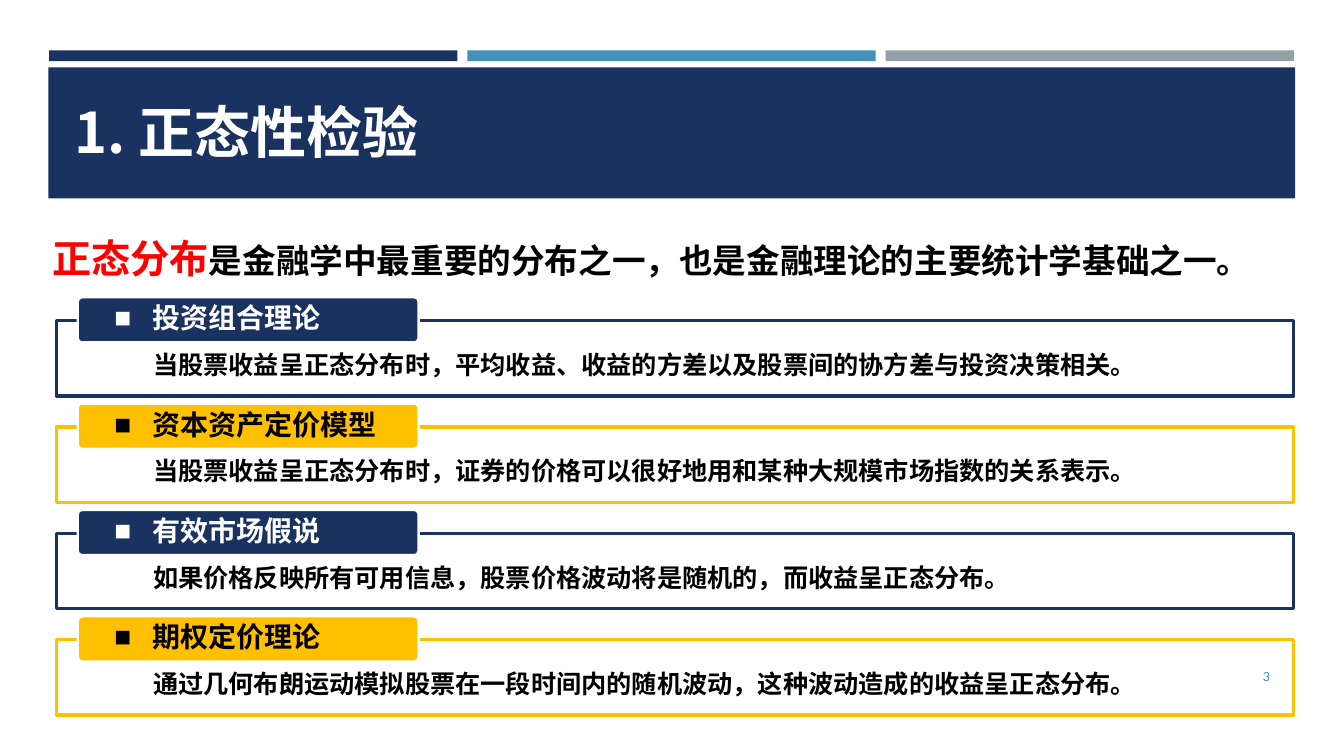
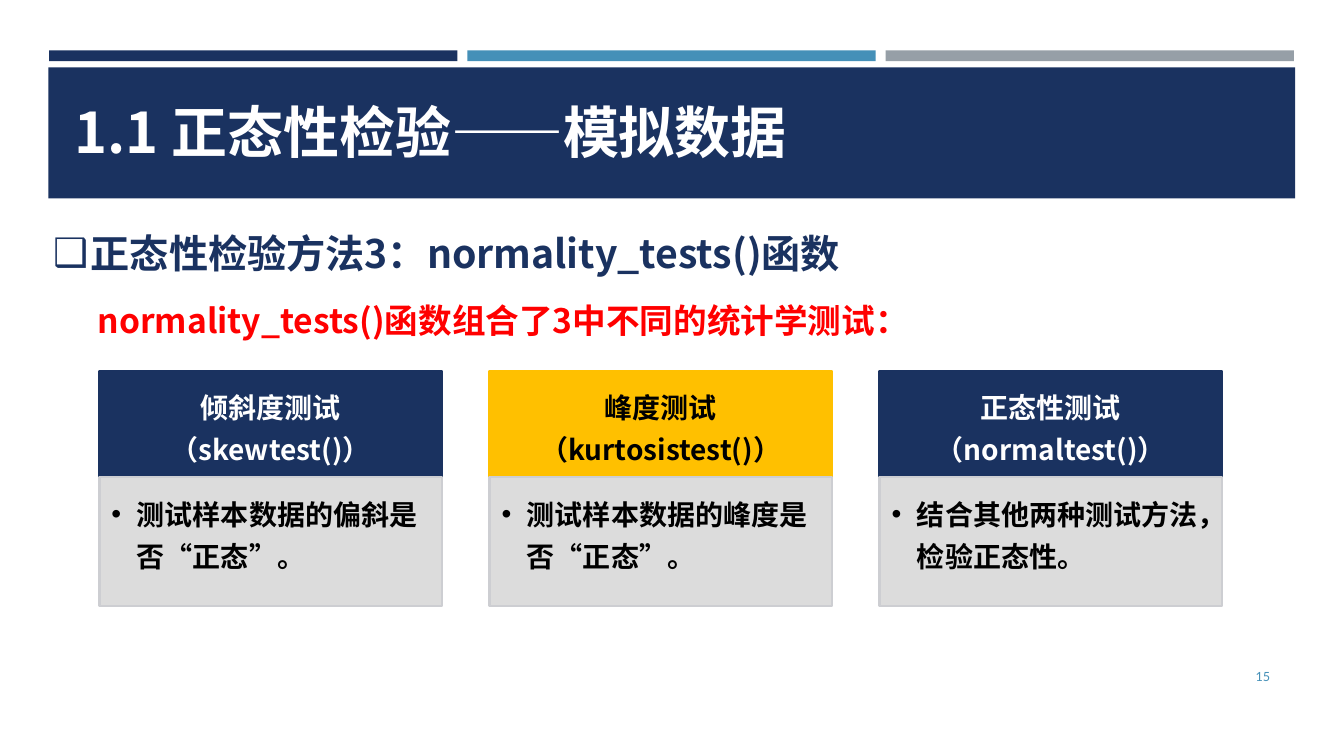
import lxml.etree
import pptx
import pptx.dml.color
import pptx.enum.shapes
import pptx.enum.text
import pptx.oxml.ns
import pptx.util

Cm = pptx.util.Cm
Pt = pptx.util.Pt
RGBColor = pptx.dml.color.RGBColor
SHAPE = pptx.enum.shapes.MSO_SHAPE
ALIGN = pptx.enum.text.PP_ALIGN
ANCHOR = pptx.enum.text.MSO_ANCHOR
qn = pptx.oxml.ns.qn

NAVY = RGBColor(0x1A, 0x32, 0x60)
BLUE = RGBColor(0x45, 0x90, 0xB8)
GRAY = RGBColor(0x96, 0x9F, 0xA7)
GOLD = RGBColor(0xFF, 0xC0, 0x00)
RED = RGBColor(0xFF, 0x00, 0x00)
BLACK = RGBColor(0x00, 0x00, 0x00)
WHITE = RGBColor(0xFF, 0xFF, 0xFF)
PALE = RGBColor(0xD9, 0xD9, 0xD9)
PALE_EDGE = RGBColor(0xCD, 0xCE, 0xD2)
CJK = "Noto Sans CJK SC"
LATO = "Lato"


def add_block(slide, kind, place, fill, line=None, line_width=1.75, opacity=100):
    block = slide.shapes.add_shape(kind, *map(Cm, place))
    block.shadow.inherit = False
    block.fill.solid()
    block.fill.fore_color.rgb = fill
    if opacity < 100:
        color = block.fill._xPr.find(qn("a:solidFill"))[0]
        lxml.etree.SubElement(color, qn("a:alpha"), val=str(opacity * 1000))
    if line is None:
        block.line.fill.background()
    else:
        block.line.color.rgb = line
        block.line.width = Pt(line_width)
    return block


def write(box, runs, spacing=1.0, align=ALIGN.LEFT, anchor=ANCHOR.TOP,
          insets=(0.25, 0.13, 0.25, 0.13), bullet=None, indent=0,
          font=CJK, bold=True, grow=False):
    frame = box.text_frame
    frame.word_wrap = True
    frame.vertical_anchor = anchor
    if grow:
        frame.auto_size = pptx.enum.text.MSO_AUTO_SIZE.SHAPE_TO_FIT_TEXT
    frame.margin_left, frame.margin_top, frame.margin_right, frame.margin_bottom = map(Cm, insets)
    paragraph = frame.paragraphs[0]
    paragraph.alignment = align
    paragraph.line_spacing = spacing
    if bullet:
        props = paragraph._p.get_or_add_pPr()
        props.set("marL", str(Cm(indent)))
        props.set("indent", str(-Cm(indent)))
        lxml.etree.SubElement(props, qn("a:buFont"), typeface="Arial")
        lxml.etree.SubElement(props, qn("a:buChar"), char=bullet)
    for text, size, color in runs:
        run = paragraph.add_run()
        run.text = text
        run.font.size = Pt(size)
        run.font.bold = bold
        run.font.color.rgb = color
        run.font.name = font
        lxml.etree.SubElement(run._r.get_or_add_rPr(), qn("a:ea"), typeface=font)


deck = pptx.Presentation()
deck.slide_width = Cm(33.87)
deck.slide_height = Cm(19.05)

for title in ("1. 正态性检验", "1.1 正态性检验——模拟数据"):
    slide = deck.slides.add_slide(deck.slide_layouts[6])
    for column, color in enumerate((NAVY, BLUE, GRAY)):
        add_block(slide, SHAPE.RECTANGLE, (1.24 + column * 10.54, 1.27, 10.29, 0.27), color)
    add_block(slide, SHAPE.RECTANGLE, (1.22, 1.7, 31.42, 3.3), NAVY)
    heading = slide.shapes.add_textbox(Cm(1.63), Cm(2.51), Cm(30.28), Cm(1.96))
    write(heading, [(title, 40, WHITE)], spacing=0.9, grow=True)

theories_slide, tests_slide = deck.slides

intro = theories_slide.shapes.add_textbox(Cm(1.07), Cm(5.18), Cm(31.37), Cm(1.83))
write(intro, [
    ("正态分布", 28, RED),
    ("是金融学中最重要的分布之一，也是金融理论的主要统计学基础之一。", 24, BLACK),
], spacing=1.5, align=ALIGN.JUSTIFY, grow=True)

theories = (
    ("投资组合理论", "当股票收益呈正态分布时，平均收益、收益的方差以及股票间的协方差与投资决策相关。"),
    ("资本资产定价模型", "当股票收益呈正态分布时，证券的价格可以很好地用和某种大规模市场指数的关系表示。"),
    ("有效市场假说", "如果价格反映所有可用信息，股票价格波动将是随机的，而收益呈正态分布。"),
    ("期权定价理论", "通过几何布朗运动模拟股票在一段时间内的随机波动，这种波动造成的收益呈正态分布。"),
)
schemes = ((NAVY, WHITE), (GOLD, BLACK))

for row, (theory, explanation) in enumerate(theories):
    accent, ink = schemes[row % 2]
    top = 8.08 + row * 2.68
    panel = add_block(theories_slide, SHAPE.RECTANGLE, (1.42, top, 31.19, 1.9),
                      WHITE, accent, 2.25, opacity=90)
    write(panel, [(explanation, 18, BLACK)], spacing=0.9, insets=(2.44, 0.81, 2.44, 0.28))
    tab = add_block(theories_slide, SHAPE.ROUNDED_RECTANGLE, (1.96, top - 0.59, 8.59, 1.14),
                    accent, WHITE)
    tab.adjustments[0] = 0.1
    write(tab, [(theory, 20, ink)], spacing=0.9, anchor=ANCHOR.MIDDLE,
          insets=(0.89, 0.05, 0.89, 0.05), bullet="■", indent=0.95)

method = tests_slide.shapes.add_textbox(Cm(1.09), Cm(5.05), Cm(32), Cm(1.83))
write(method, [("正态性检验方法3：normality_tests()函数", 28, NAVY)],
      spacing=1.5, bullet="❑", indent=0.95, grow=True)
summary = tests_slide.shapes.add_textbox(Cm(2.21), Cm(6.91), Cm(30.4), Cm(1.63))
write(summary, [("normality_tests()函数组合了3中不同的统计学测试：", 24, RED)],
      spacing=1.5, align=ALIGN.JUSTIFY, grow=True)

tests = (
    ("倾斜度测试（skewtest()）", "测试样本数据的偏斜是否“正态”。"),
    ("峰度测试（kurtosistest()）", "测试样本数据的峰度是否“正态”。"),
    ("正态性测试（normaltest()）", "结合其他两种测试方法，检验正态性。"),
)

for column, (test, purpose) in enumerate(tests):
    accent, ink = schemes[column % 2]
    left = 2.51 + column * 9.83
    header = add_block(tests_slide, SHAPE.RECTANGLE, (left, 9.35, 8.63, 2.67), accent, accent)
    write(header, [(test, 20, ink)], spacing=Pt(30), align=ALIGN.CENTER,
          anchor=ANCHOR.MIDDLE, insets=(0.41, 0.23, 0.41, 0.23))
    body = add_block(tests_slide, SHAPE.RECTANGLE, (left, 12.02, 8.63, 3.25),
                     PALE, PALE_EDGE, opacity=90)
    write(body, [(purpose, 20, BLACK)], spacing=Pt(30),
          insets=(0.3, 0.3, 0.41, 0.43), bullet="•", indent=0.64)

for slide, number in ((theories_slide, "3"), (tests_slide, "15")):
    page = slide.shapes.add_textbox(Cm(29.34), Cm(16.54), Cm(2.92), Cm(1.02))
    write(page, [(number, 9, BLUE)], align=ALIGN.RIGHT, anchor=ANCHOR.MIDDLE,
          font=LATO, bold=False)

deck.save("out.pptx")
